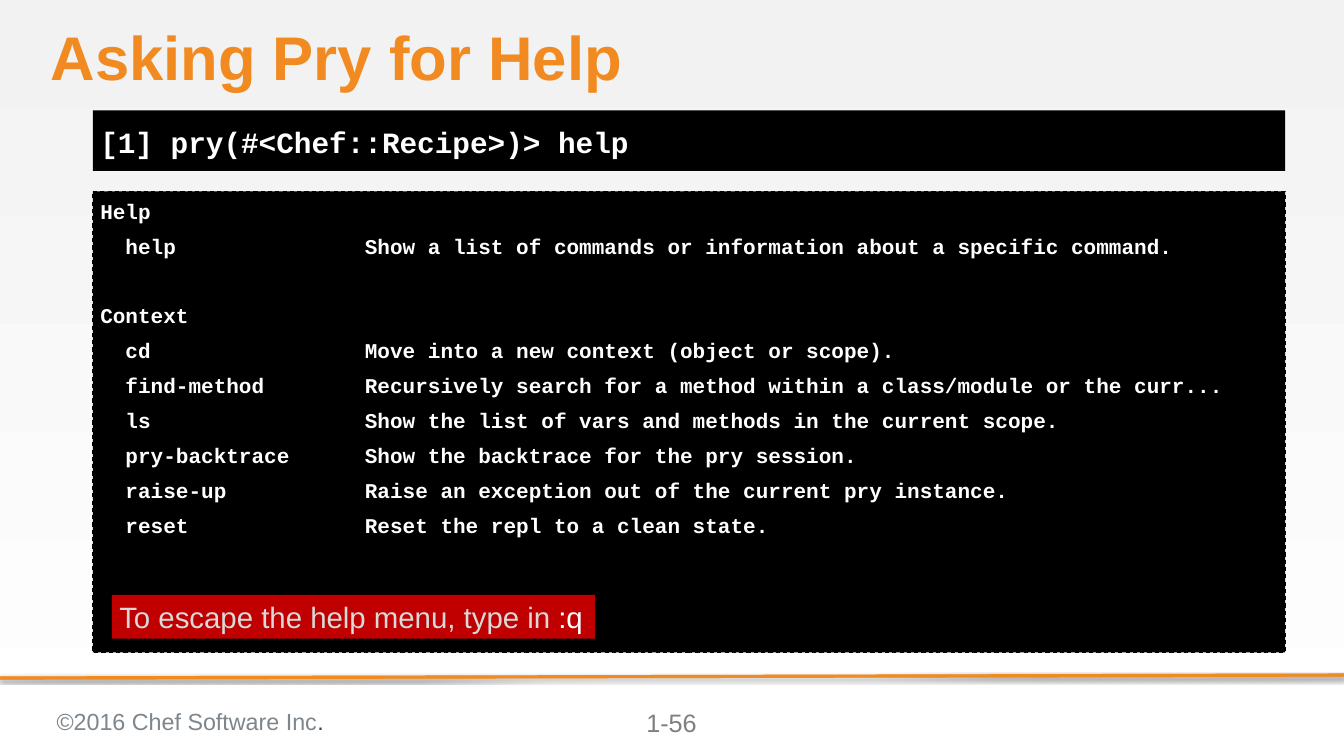
from lxml.etree import SubElement
from pptx import Presentation
from pptx.dml.color import RGBColor
from pptx.enum.dml import MSO_LINE_DASH_STYLE as Dash
from pptx.enum.shapes import MSO_CONNECTOR, MSO_SHAPE
from pptx.enum.text import MSO_ANCHOR as Anchor, PP_ALIGN as Align
from pptx.oxml.ns import qn
from pptx.util import Cm, Pt

ORANGE = RGBColor(0xF1, 0x8B, 0x21)
BLACK = RGBColor(0x00, 0x00, 0x00)
WHITE = RGBColor(0xFF, 0xFF, 0xFF)
RED = RGBColor(0xC0, 0x00, 0x00)
PALE = RGBColor(0xD9, 0xD9, 0xD9)
BACKDROP = RGBColor(0xF2, 0xF2, 0xF2)
FOOTER_GREY = RGBColor(0x7D, 0x86, 0x8C)
FOOTER_DARK = RGBColor(0x3E, 0x43, 0x46)
PAGE_GREY = RGBColor(0x7F, 0x7F, 0x7F)

SLIDE_WIDTH, SLIDE_HEIGHT = 45.16, 25.4
CONSOLE_LEFT, CONSOLE_WIDTH = 3.12, 40.06
INSET = 0.25
COLUMN_TAB = 8.89
LINE_GAP, SECTION_GAP = 9.3, 41.3

HELP_SECTIONS = [
    ("Help", [
        ("help", "Show a list of commands or information about a specific command."),
    ]),
    ("Context", [
        ("cd", "Move into a new context (object or scope)."),
        ("find-method", "Recursively search for a method within a class/module or the curr..."),
        ("ls", "Show the list of vars and methods in the current scope."),
        ("pry-backtrace", "Show the backtrace for the pry session."),
        ("raise-up", "Raise an exception out of the current pry instance."),
        ("reset", "Reset the repl to a clean state."),
    ]),
]


def place(left, top, width, height):
    return Cm(left), Cm(top), Cm(width), Cm(height)


def add_effects(element, blur, distance, angle, opacity):
    properties = element.spPr
    effects = properties.find(qn("a:effectLst"))
    if effects is None:
        effects = SubElement(properties, qn("a:effectLst"))
    shadow = SubElement(effects, qn("a:outerShdw"), blurRad=str(Pt(blur)),
                        dist=str(Pt(distance)), dir=str(angle * 60000),
                        algn="tl", rotWithShape="0")
    colour = SubElement(shadow, qn("a:srgbClr"), val=str(BLACK))
    SubElement(colour, qn("a:alpha"), val=str(opacity * 1000))


def add_tab_stop(paragraph, position):
    properties = paragraph._p.get_or_add_pPr()
    tabs = SubElement(properties, qn("a:tabLst"))
    SubElement(tabs, qn("a:tab"), pos=str(Cm(position)), algn="l")


def setup_text(holder, anchor=Anchor.TOP, insets=(INSET,) * 4):
    frame = holder.text_frame
    frame.word_wrap = True
    frame.vertical_anchor = anchor
    (frame.margin_left, frame.margin_top,
     frame.margin_right, frame.margin_bottom) = map(Cm, insets)
    return frame.paragraphs[0]


def write(paragraph, text, size, colour, font="Arial", bold=False, align=Align.LEFT):
    paragraph.alignment = align
    run = paragraph.add_run()
    run.text = text
    run.font.name = font
    run.font.size = Pt(size)
    run.font.bold = bold
    run.font.color.rgb = colour


def add_panel(slide, box, colour):
    panel = slide.shapes.add_shape(MSO_SHAPE.RECTANGLE, *place(*box))
    panel.shadow.inherit = False
    panel.fill.solid()
    panel.fill.fore_color.rgb = colour
    panel.line.fill.background()
    return panel


def add_label(slide, box, **layout):
    return setup_text(slide.shapes.add_textbox(*place(*box)), **layout)


def add_footer_rule(slide, opacity):
    rule = slide.shapes.add_connector(MSO_CONNECTOR.STRAIGHT, Cm(SLIDE_WIDTH),
                                      Cm(22.68), Cm(0), Cm(22.78))
    rule.line.color.rgb = ORANGE
    rule.line.width = Pt(3)
    colour = rule.line._ln.find(".//" + qn("a:srgbClr"))
    SubElement(colour, qn("a:alpha"), val=str(opacity * 1000))
    add_effects(rule._element, blur=3.1, distance=1.8, angle=90, opacity=35)


def add_background(slide):
    fill = slide.background.fill
    fill.gradient()
    fill.gradient_angle = 270
    for stop, position, colour in zip(fill.gradient_stops, (0, 1), (BACKDROP, WHITE)):
        stop.position = position
        stop.color.rgb = colour


def add_footer(slide):
    notice = add_label(slide, (1.65, 23.5, 14.99, 1.32))
    write(notice, "©2016 Chef Software Inc", 22.2, FOOTER_GREY)
    write(notice, ".", 22.2, FOOTER_DARK)
    page = add_label(slide, (20.57, 23.5, 3.99, 1.45))
    write(page, "1-56", 24, PAGE_GREY, align=Align.CENTER)


def add_help_output(slide):
    console = add_panel(slide, (CONSOLE_LEFT, 6.43, CONSOLE_WIDTH, 15.49), BLACK)
    console.line.color.rgb = BLACK
    console.line.width = Pt(1)
    console.line.dash_style = Dash.DASH
    heading = setup_text(console)
    for number, (section, commands) in enumerate(HELP_SECTIONS):
        if number:
            heading = console.text_frame.add_paragraph()
            heading.space_before = Pt(SECTION_GAP)
        write(heading, section, 20, WHITE, font="Courier New", bold=True)
        for command, description in commands:
            entry = console.text_frame.add_paragraph()
            entry.space_before = Pt(LINE_GAP)
            add_tab_stop(entry, COLUMN_TAB)
            write(entry, f"  {command}\t{description}", 20, WHITE,
                  font="Courier New", bold=True)


def add_prompt(slide):
    prompt = add_panel(slide, (CONSOLE_LEFT, 3.71, CONSOLE_WIDTH, 2.03), BLACK)
    line = setup_text(prompt, anchor=Anchor.MIDDLE, insets=(INSET, 0.1, 0, 0))
    write(line, "[1] pry(#<Chef::Recipe>)> help", 28, WHITE,
          font="Courier New", bold=True)


def add_title(slide):
    title = add_label(slide, (1.7, 0.84, 41.48, 2.31),
                      anchor=Anchor.BOTTOM, insets=(0,) * 4)
    title.line_spacing = 0.9
    write(title, "Asking Pry for Help", 58.7, ORANGE, bold=True)


def add_escape_tip(slide):
    tip = add_panel(slide, (3.76, 19.99, 16.23, 1.47), RED)
    add_effects(tip._element, blur=4, distance=3, angle=45, opacity=40)
    line = setup_text(tip, anchor=Anchor.MIDDLE)
    write(line, "To escape the help menu, type in", 28, PALE)
    write(line, " :q", 28, WHITE)


def main():
    deck = Presentation()
    deck.slide_width, deck.slide_height = Cm(SLIDE_WIDTH), Cm(SLIDE_HEIGHT)
    slide = deck.slides.add_slide(deck.slide_layouts[6])
    add_background(slide)
    add_footer_rule(slide, opacity=50)
    add_footer(slide)
    add_footer_rule(slide, opacity=100)
    add_help_output(slide)
    add_prompt(slide)
    add_title(slide)
    add_escape_tip(slide)
    deck.save("out.pptx")


if __name__ == "__main__":
    main()
